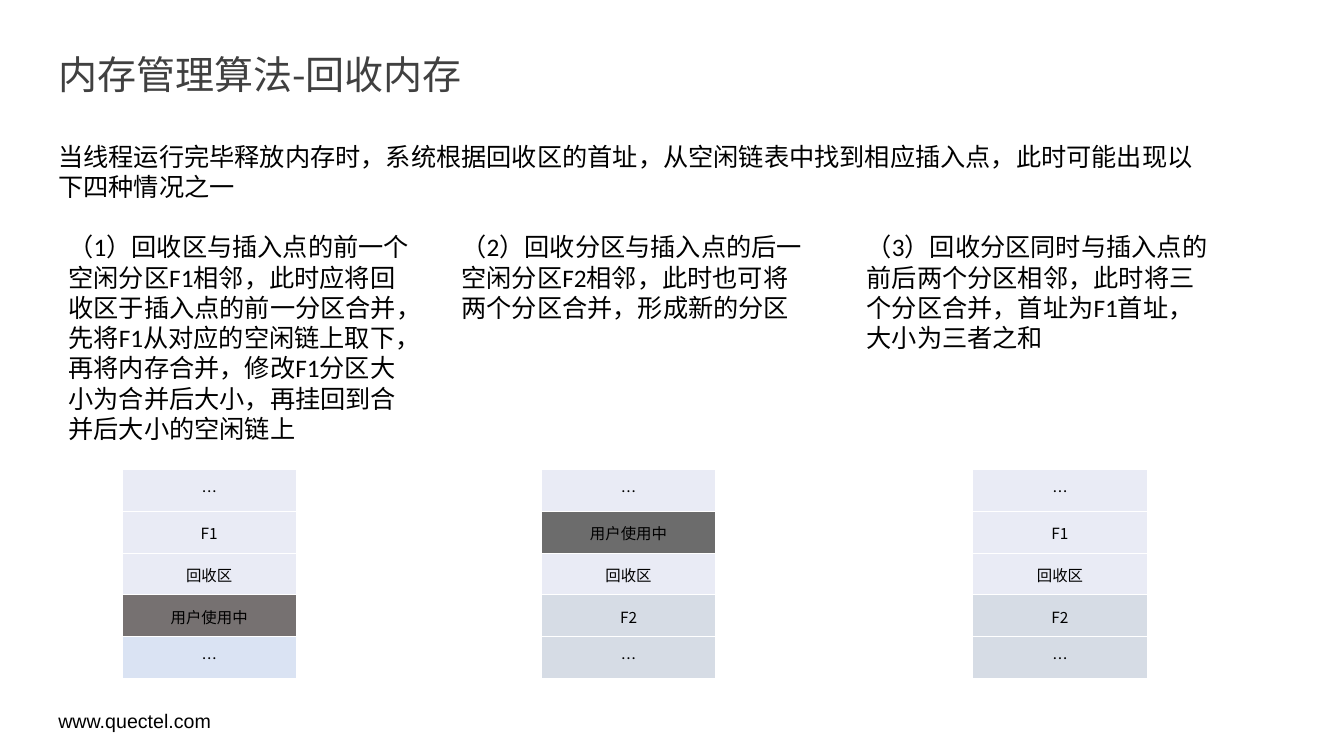
from lxml.etree import SubElement
from pptx import Presentation
from pptx.dml.color import RGBColor as RGB
from pptx.enum.text import MSO_ANCHOR as Anchor, MSO_AUTO_SIZE as AutoSize, PP_ALIGN as Align
from pptx.oxml.ns import qn
from pptx.util import Inches, Pt

BLACK = RGB(0x00, 0x00, 0x00)
WHITE = RGB(0xFF, 0xFF, 0xFF)
TITLE_GREY = RGB(0x40, 0x40, 0x40)
PALE = RGB(0xE9, 0xEB, 0xF5)
STEEL = RGB(0xD6, 0xDC, 0xE5)
SKY = RGB(0xDA, 0xE3, 0xF3)
WARM_GREY = RGB(0x76, 0x71, 0x71)
DARK_GREY = RGB(0x6C, 0x6C, 0x6C)

CJK, BODY, FOOTER = "Noto Sans CJK SC", "Calibri", "Arial"

# Each case: text left, text height, text, table left, memory blocks
CASES = [
    (4.35, 29.6,
     "（1）回收区与插入点的前一个空闲分区F1相邻，此时应将回收区于插入点的前一分区合并，"
     "先将F1从对应的空闲链上取下，再将内存合并，修改F1分区大小为合并后大小，"
     "再挂回到合并后大小的空闲链上",
     9.08, [("…", PALE), ("F1", PALE), ("回收区", PALE), ("用户使用中", WARM_GREY), ("…", SKY)]),
    (33.6, 13.47,
     "（2）回收分区与插入点的后一空闲分区F2相邻，此时也可将两个分区合并，形成新的分区",
     40.28, [("…", PALE), ("用户使用中", DARK_GREY), ("回收区", PALE), ("F2", STEEL), ("…", STEEL)]),
    (63.75, 17.47,
     "（3）回收分区同时与插入点的前后两个分区相邻，此时将三个分区合并，"
     "首址为F1首址，大小为三者之和",
     72.38, [("…", PALE), ("F1", PALE), ("回收区", PALE), ("F2", STEEL), ("…", STEEL)]),
]


class MemorySlide:
    """Places elements by percent of the slide's width and height."""

    def __init__(self, prs):
        self.width, self.height = prs.slide_width, prs.slide_height
        self.s = prs.slides.add_slide(prs.slide_layouts[6])

    def box(self, x, y, w, h):
        return (int(self.width * x / 100), int(self.height * y / 100),
                int(self.width * w / 100), int(self.height * h / 100))

    def run(self, p, text, size, font, color):
        r = p.add_run()
        r.text = text
        r.font.size = Pt(size)
        r.font.name = font
        r.font.color.rgb = color
        if font == CJK:
            SubElement(r.font._element, qn("a:ea"), typeface=font)

    def text(self, area, text, size=18, font=BODY, color=BLACK, spacing=None,
             anchor=Anchor.TOP, inset=0.05, fit=AutoSize.NONE):
        tf = self.s.shapes.add_textbox(*self.box(*area)).text_frame
        tf.word_wrap = True
        tf.auto_size = fit
        tf.vertical_anchor = anchor
        tf.margin_top = tf.margin_bottom = Inches(inset)
        p = tf.paragraphs[0]
        p.line_spacing = spacing
        self.run(p, text, size, font, color)

    def borders(self, cell):
        tc_pr = cell._tc.get_or_add_tcPr()
        for i, side in enumerate(("lnL", "lnR", "lnT", "lnB")):
            ln = tc_pr.makeelement(qn(f"a:{side}"), {"w": str(Pt(1))})
            fill = SubElement(ln, qn("a:solidFill"))
            SubElement(fill, qn("a:srgbClr"), val=str(WHITE))
            tc_pr.insert(i, ln)

    def memory_table(self, x, y, w, row_h, blocks):
        area = self.box(x, y, w, row_h * len(blocks))
        table = self.s.shapes.add_table(len(blocks), 1, *area).table
        table.first_row = table.horz_banding = False
        for row, (label, color) in enumerate(blocks):
            cell = table.cell(row, 0)
            cell.fill.solid()
            cell.fill.fore_color.rgb = color
            cell.vertical_anchor = Anchor.MIDDLE
            cell.margin_left = cell.margin_right = cell.margin_top = Inches(0.01)
            cell.margin_bottom = 0
            self.borders(cell)
            p = cell.text_frame.paragraphs[0]
            p.alignment = Align.CENTER
            self.run(p, label, 11, CJK, BLACK)


def main():
    prs = Presentation()
    prs.slide_width, prs.slide_height = Inches(13.33), Inches(7.5)
    slide = MemorySlide(prs)
    slide.text((3.6, 93.47, 90.75, 4.13), "www.quectel.com", 14, FOOTER,
               spacing=0.9, anchor=Anchor.MIDDLE)
    slide.text((3.6, 7.33, 90.75, 6.53), "内存管理算法-回收内存", 27.9, CJK,
               TITLE_GREY, spacing=0.9, inset=0)
    slide.text((3.6, 18, 87.6, 9.47),
               "当线程运行完毕释放内存时，系统根据回收区的首址，从空闲链表中找到相应插入点，"
               "此时可能出现以下四种情况之一", fit=AutoSize.SHAPE_TO_FIT_TEXT)
    for text_x, text_h, text, table_x, blocks in CASES:
        slide.text((text_x, 30, 27.6, text_h), text, fit=AutoSize.SHAPE_TO_FIT_TEXT)
        slide.memory_table(table_x, 62.13, 12.98, 5.52, blocks)
    prs.save("out.pptx")


if __name__ == "__main__":
    main()
